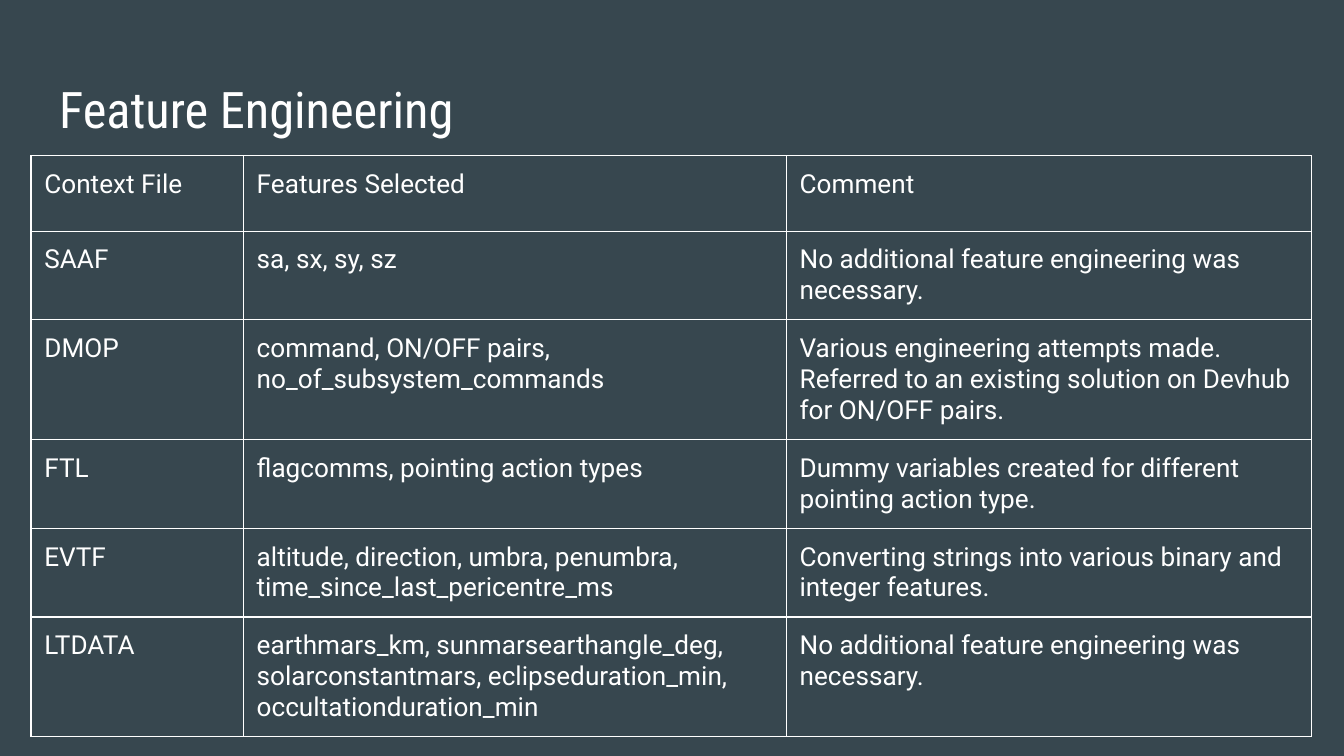
from lxml import etree
from pptx import Presentation
from pptx.dml.color import RGBColor
from pptx.enum.text import MSO_ANCHOR, PP_ALIGN
from pptx.oxml.ns import qn
from pptx.util import Inches, Pt

LEFT = PP_ALIGN.LEFT
TOP, MIDDLE = MSO_ANCHOR.TOP, MSO_ANCHOR.MIDDLE
TITLE_ONLY = 5

COLORS = {"background": "37474F", "text": "FFFFFF", "border": "FFFFFF"}
TITLE_FONT, BODY_FONT = "Roboto Condensed", "Roboto"
INSET = Inches(0.1)

COLUMN_WIDTHS = [1.58, 4.04, 3.91]
ROW_HEIGHTS = [0.56, 0.66, 0.89, 0.66, 0.66, 0.89]
ROWS = [
    ("Context File", "Features Selected", "Comment"),
    ("SAAF", "sa, sx, sy, sz",
     "No additional feature engineering was necessary."),
    ("DMOP", "command, ON/OFF pairs, no_of_subsystem_commands",
     "Various engineering attempts made. Referred to an existing solution "
     "on Devhub for ON/OFF pairs."),
    ("FTL", "flagcomms, pointing action types",
     "Dummy variables created for different pointing action type."),
    ("EVTF",
     "altitude, direction, umbra, penumbra, time_since_last_pericentre_ms",
     "Converting strings into various binary and integer features."),
    ("LTDATA",
     "earthmars_km, sunmarsearthangle_deg, solarconstantmars, "
     "eclipseduration_min, occultationduration_min",
     "No additional feature engineering was necessary."),
]


def color(name):
    return RGBColor.from_string(COLORS[name])


def set_insets(frame):
    frame.margin_left = frame.margin_right = INSET
    frame.margin_top = frame.margin_bottom = INSET


def write(tf, text, font, size):
    p = tf.paragraphs[0]
    p.alignment = LEFT
    r = p.add_run()
    r.text = text
    r.font.name = font
    r.font.size = Pt(size)
    r.font.bold = False
    r.font.color.rgb = color("text")


def add_title(s, text):
    sp = s.shapes.title
    sp.left, sp.top = Inches(0.34), Inches(0.49)
    sp.width, sp.height = Inches(9.32), Inches(0.63)
    tf = sp.text_frame
    tf.word_wrap = True
    tf.vertical_anchor = MIDDLE
    set_insets(tf)
    write(tf, text, TITLE_FONT, 27)


def add_borders(cell):
    tc_pr = cell._tc.get_or_add_tcPr()
    for side in ("a:lnL", "a:lnR", "a:lnT", "a:lnB"):
        ln = etree.SubElement(tc_pr, qn(side), w=str(Pt(0.75)))
        fill = etree.SubElement(ln, qn("a:solidFill"))
        etree.SubElement(fill, qn("a:srgbClr"), val=COLORS["border"])


def add_feature_table(s):
    frame = s.shapes.add_table(
        len(ROWS), len(COLUMN_WIDTHS), Inches(0.23), Inches(1.16),
        Inches(sum(COLUMN_WIDTHS)), Inches(sum(ROW_HEIGHTS)))
    table = frame.table
    table.first_row = table.horz_banding = False
    for column, width in zip(table.columns, COLUMN_WIDTHS):
        column.width = Inches(width)
    for row, height, texts in zip(table.rows, ROW_HEIGHTS, ROWS):
        row.height = Inches(height)
        for cell, text in zip(row.cells, texts):
            set_insets(cell)
            cell.vertical_anchor = TOP
            add_borders(cell)
            cell.fill.background()
            write(cell.text_frame, text, BODY_FONT, 14)


def main():
    prs = Presentation()
    # Widescreen, 16 to 9
    prs.slide_width = Inches(10)
    prs.slide_height = Inches(10 * 9 / 16)
    s = prs.slides.add_slide(prs.slide_layouts[TITLE_ONLY])

    # Background
    s.background.fill.solid()
    s.background.fill.fore_color.rgb = color("background")

    # Title and table
    add_title(s, "Feature Engineering")
    add_feature_table(s)
    prs.save("out.pptx")


if __name__ == "__main__":
    main()
